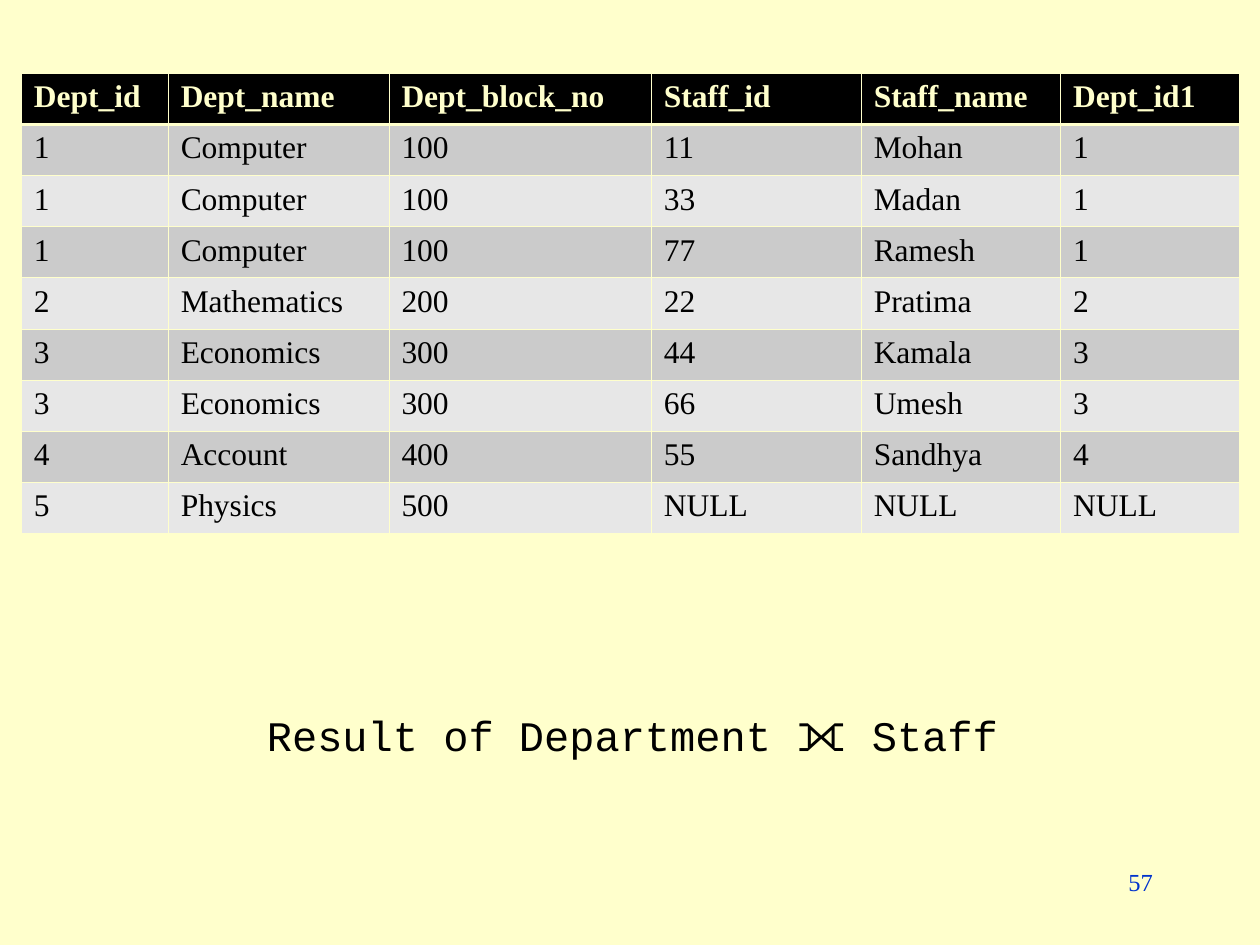
from lxml import etree
from pptx import Presentation
from pptx import util as u
from pptx.dml.color import RGBColor
from pptx.enum import text
from pptx.oxml.ns import qn

CREAM, BLACK, BLUE = "FFFFCC", "000000", "0033CC"
BAND_FILLS = ("CBCBCB", "E7E7E7")
THIN, THICK = 0.45, 1.47
SERIF, MONO = "Times New Roman", "Courier New"

COLUMN_WIDTHS = (2.96, 4.45, 5.29, 4.23, 4.02, 3.6)
ROW_HEIGHT = 1.03
HEADER = ("Dept_id", "Dept_name", "Dept_block_no", "Staff_id", "Staff_name", "Dept_id1")
RECORDS = (
    ("1", "Computer", "100", "11", "Mohan", "1"),
    ("1", "Computer", "100", "33", "Madan", "1"),
    ("1", "Computer", "100", "77", "Ramesh", "1"),
    ("2", "Mathematics", "200", "22", "Pratima", "2"),
    ("3", "Economics", "300", "44", "Kamala", "3"),
    ("3", "Economics", "300", "66", "Umesh", "3"),
    ("4", "Account", "400", "55", "Sandhya", "4"),
    ("5", "Physics", "500", "NULL", "NULL", "NULL"),
)


def set_fill(fill, color):
    fill.solid()
    fill.fore_color.rgb = RGBColor.from_string(color)


def write(paragraph, content, font_name, size, color, bold=False):
    paragraph.text = content
    font = paragraph.font
    font.name, font.size, font.bold = font_name, u.Pt(size), bold
    set_fill(font.fill, color)


def set_borders(cell, top, bottom):
    """Draw cream borders; the line elements must come before the cell's fill."""
    properties = cell._tc.get_or_add_tcPr()
    widths = {"a:lnL": THIN, "a:lnR": THIN, "a:lnT": top, "a:lnB": bottom}
    for position, (tag, width) in enumerate(widths.items()):
        line = etree.Element(qn(tag), w=str(u.Pt(width)))
        solid = etree.SubElement(line, qn("a:solidFill"))
        etree.SubElement(solid, qn("a:srgbClr"), val=CREAM)
        properties.insert(position, line)


def add_join_table(slide, left, top):
    rows = (HEADER, *RECORDS)
    frame = slide.shapes.add_table(
        len(rows), len(HEADER), u.Cm(left), u.Cm(top),
        u.Cm(sum(COLUMN_WIDTHS)), u.Cm(ROW_HEIGHT * len(rows)))
    table = frame.table
    for column, width in zip(table.columns, COLUMN_WIDTHS):
        column.width = u.Cm(width)
    for index, values in enumerate(rows):
        table.rows[index].height = u.Cm(ROW_HEIGHT)
        is_header = index == 0
        fill = BLACK if is_header else BAND_FILLS[(index - 1) % 2]
        for cell, value in zip(table.rows[index].cells, values):
            set_fill(cell.fill, fill)
            set_borders(cell, THICK if index == 1 else THIN, THICK if is_header else THIN)
            write(cell.text_frame.paragraphs[0], value, SERIF, 18,
                  CREAM if is_header else BLACK, is_header)


def add_label(slide, box, content, font_name, size, color,
              align=text.PP_ALIGN.LEFT, wrap=True):
    shape = slide.shapes.add_textbox(*map(u.Cm, box))
    shape.text_frame.word_wrap = wrap
    paragraph = shape.text_frame.paragraphs[0]
    paragraph.alignment = align
    write(paragraph, content, font_name, size, color)


def main():
    presentation = Presentation()
    presentation.slide_width, presentation.slide_height = u.Cm(25.4), u.Cm(19.05)
    slide = presentation.slides.add_slide(presentation.slide_layouts[6])
    set_fill(slide.background.fill, CREAM)
    add_join_table(slide, 0.43, 1.48)
    add_label(slide, (18.2, 17.35, 5.29, 1.27), "57", SERIF, 14, BLUE,
              align=text.PP_ALIGN.RIGHT)
    add_label(slide, (5.13, 14.17, 15.24, 1.27), "Result of Department ⟗ Staff",
              MONO, 24, BLACK, wrap=False)
    presentation.save("out.pptx")


if __name__ == "__main__":
    main()
